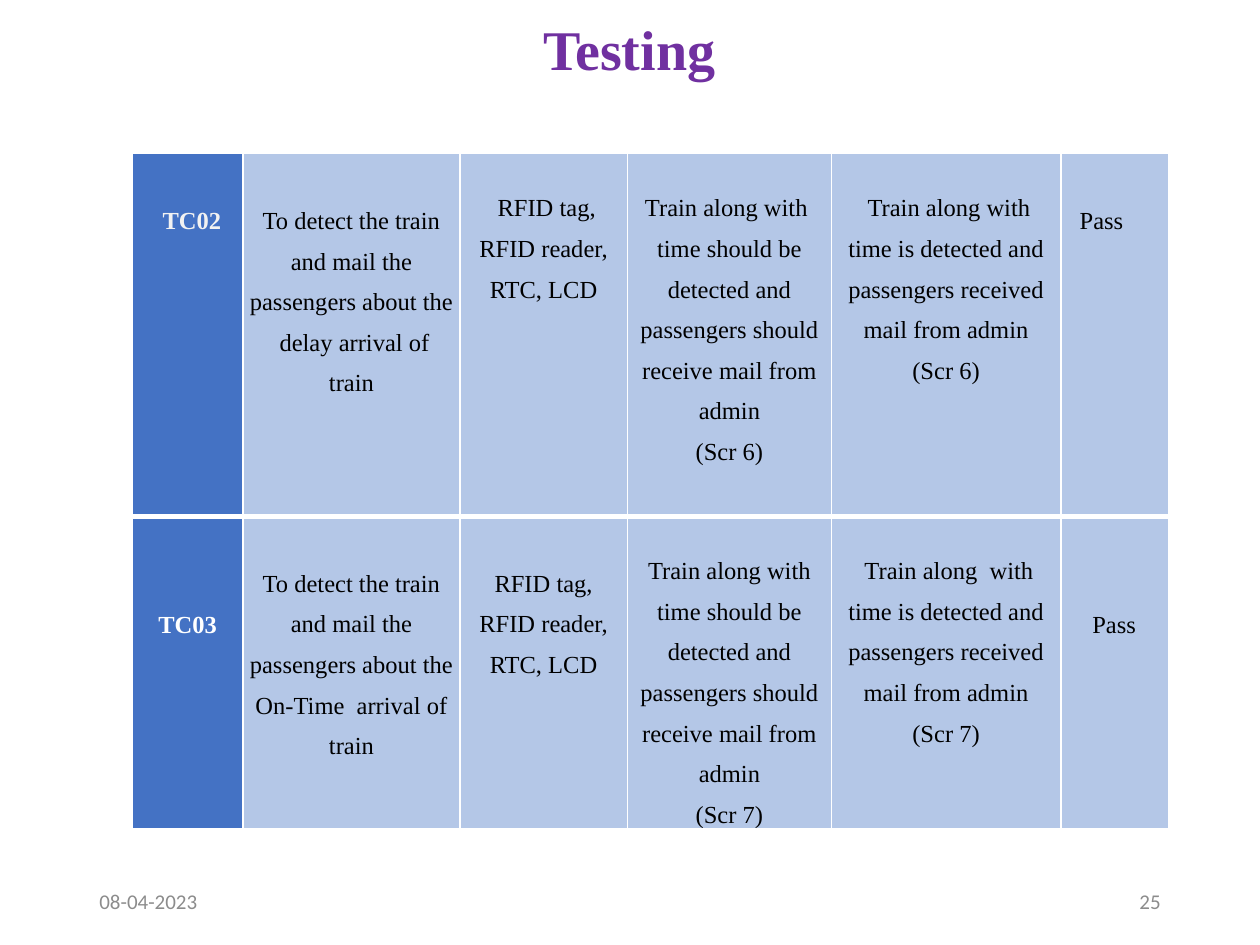
import dataclasses

import lxml.etree
import pptx
import pptx.dml.color
import pptx.enum.text
import pptx.oxml.ns
import pptx.util

Inches = pptx.util.Inches
ALIGN = pptx.enum.text.PP_ALIGN
ANCHOR = pptx.enum.text.MSO_ANCHOR


@dataclasses.dataclass(frozen=True)
class Theme:
    serif: str = "Times New Roman"
    sans: str = "Calibri"
    title: float = 32
    body: float = 14
    small: float = 12
    purple: str = "7030A0"
    grey: str = "8C8C8C"
    black: str = "000000"
    white: str = "FFFFFF"
    pale: str = "F2F2F2"
    blue: str = "4472C4"
    light: str = "B4C7E7"


@dataclasses.dataclass(frozen=True)
class Entry:
    """Text of one table cell, with its top and left margins in inches."""
    text: str
    top: float
    left: float = 0.05
    align: ALIGN = ALIGN.CENTER
    color: str = Theme.black
    fill: str = Theme.light
    bold: bool = False


@dataclasses.dataclass(frozen=True)
class Label:
    text: str
    box: tuple
    font: str
    size: float
    color: str
    align: ALIGN = ALIGN.LEFT
    anchor: ANCHOR = ANCHOR.MIDDLE
    bold: bool = False
    left: float = 0.1


THEME = Theme()
COLS = (0.88, 1.72, 1.33, 1.62, 1.82, 0.86)
ROWS = (2.88, 2.46)
THIN, THICK = 1, 3
HIGH, MID, LOW = 0.22, 0.32, 0.65  # top margins that set where cell text starts

CASES = (
    (
        Entry("TC02", MID, left=0.24, align=ALIGN.LEFT, color=THEME.pale,
              fill=THEME.blue, bold=True),
        Entry("To detect the train and mail the passengers about "
              "the  delay arrival of train", MID),
        Entry(" RFID tag, RFID reader, RTC, LCD", HIGH),
        Entry("Train along with  time should be detected and passengers "
              "should receive mail from admin\n(Scr 6)", HIGH),
        Entry(" Train along with time is detected and passengers received "
              "mail from admin\n(Scr 6)", HIGH),
        Entry("Pass", MID, left=0.15, align=ALIGN.JUSTIFY),
    ),
    (
        Entry("TC03", LOW, color=THEME.white, fill=THEME.blue, bold=True),
        Entry("To detect the train and mail the passengers about "
              "the On-Time  arrival of train", MID),
        Entry("RFID tag, RFID reader, RTC, LCD", MID),
        Entry("Train along with time should be detected and passengers "
              "should receive mail from admin\n(Scr 7)", HIGH),
        Entry(" Train along  with time is detected and passengers received "
              "mail from admin\n(Scr 7)", HIGH),
        Entry("Pass", LOW, left=0.25, align=ALIGN.JUSTIFY),
    ),
)

LABELS = (
    Label("08-04-2023", (0.69, 6.95, 2.25, 0.4), THEME.sans, THEME.small, THEME.grey),
    Label("25", (7.06, 6.95, 2.25, 0.4), THEME.sans, THEME.small, THEME.grey,
          align=ALIGN.RIGHT),
    Label("Testing", (3.89, 0.07, 3.14, 0.64), THEME.serif, THEME.title, THEME.purple,
          anchor=ANCHOR.TOP, bold=True, left=0.42),
)


def paint(color: str) -> pptx.dml.color.RGBColor:
    return pptx.dml.color.RGBColor.from_string(color)


def write(frame, text: str, *, font: str, size: float, color: str,
          align: ALIGN, bold: bool = False, space: float = 1.0) -> None:
    """Fill a text frame, one paragraph for each line of text."""
    frame.word_wrap = True
    for i, line in enumerate(text.split("\n")):
        para = frame.add_paragraph() if i else frame.paragraphs[0]
        para.alignment = align
        para.line_spacing = space
        run = para.add_run()
        run.text = line
        run.font.name = font
        run.font.size = pptx.util.Pt(size)
        run.font.bold = bold
        run.font.color.rgb = paint(color)


def edge(cell, side: str, width: float) -> None:
    """Add a white border; call before the cell is filled."""
    name = pptx.oxml.ns.qn
    props = cell._tc.get_or_add_tcPr()
    line = lxml.etree.SubElement(props, name(f"a:ln{side}"),
                                 w=str(pptx.util.Pt(width)))
    fill = lxml.etree.SubElement(line, name("a:solidFill"))
    lxml.etree.SubElement(fill, name("a:srgbClr"), val=THEME.white)


def draw_cell(cell, entry: Entry, above: float, below: float) -> None:
    cell.margin_left, cell.margin_right = Inches(entry.left), Inches(0.05)
    cell.margin_top, cell.margin_bottom = Inches(entry.top), Inches(0)
    for side, width in (("L", THIN), ("R", THIN), ("T", above), ("B", below)):
        edge(cell, side, width)
    cell.fill.solid()
    cell.fill.fore_color.rgb = paint(entry.fill)
    write(cell.text_frame, entry.text, font=THEME.serif, size=THEME.body,
          color=entry.color, align=entry.align, bold=entry.bold, space=1.5)


def draw_table(slide) -> None:
    table = slide.shapes.add_table(
        len(ROWS), len(COLS), Inches(1.05), Inches(1.22),
        Inches(sum(COLS)), Inches(sum(ROWS))).table
    table.first_row = table.horz_banding = False
    for col, width in zip(table.columns, COLS):
        col.width = Inches(width)
    for r, (row, height) in enumerate(zip(table.rows, ROWS)):
        row.height = Inches(height)
        above = THICK if r else THIN
        below = THICK if r < len(ROWS) - 1 else THIN
        for cell, entry in zip(row.cells, CASES[r]):
            draw_cell(cell, entry, above, below)


def draw_label(slide, label: Label) -> None:
    frame = slide.shapes.add_textbox(*map(Inches, label.box)).text_frame
    frame.margin_left = Inches(label.left)
    frame.vertical_anchor = label.anchor
    write(frame, label.text, font=label.font, size=label.size,
          color=label.color, align=label.align, bold=label.bold)


def main() -> None:
    deck = pptx.Presentation()
    deck.slide_width, deck.slide_height = Inches(10), Inches(7.5)
    slide = deck.slides.add_slide(deck.slide_layouts[6])
    draw_table(slide)
    for label in LABELS:
        draw_label(slide, label)
    deck.save("out.pptx")


if __name__ == "__main__":
    main()
